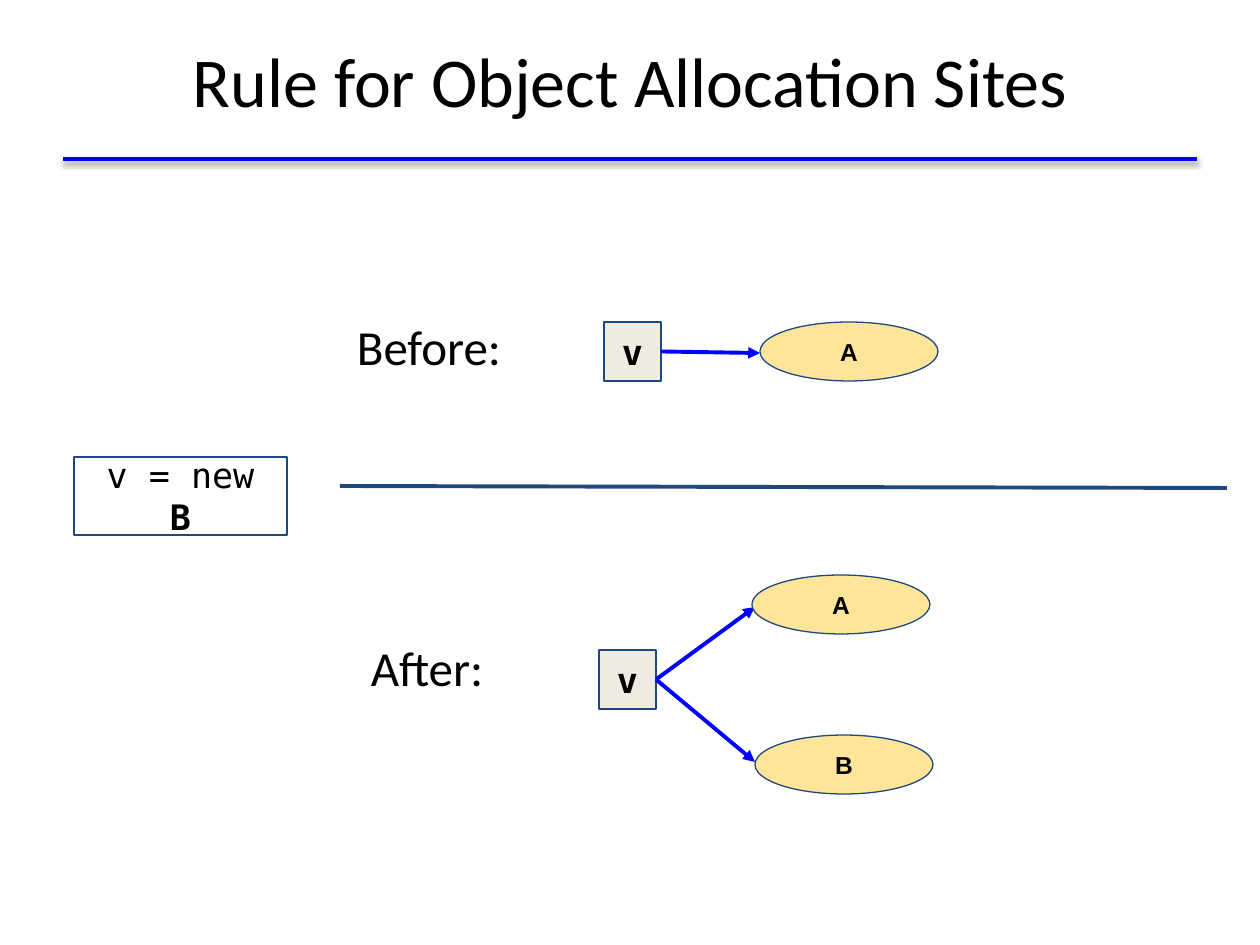
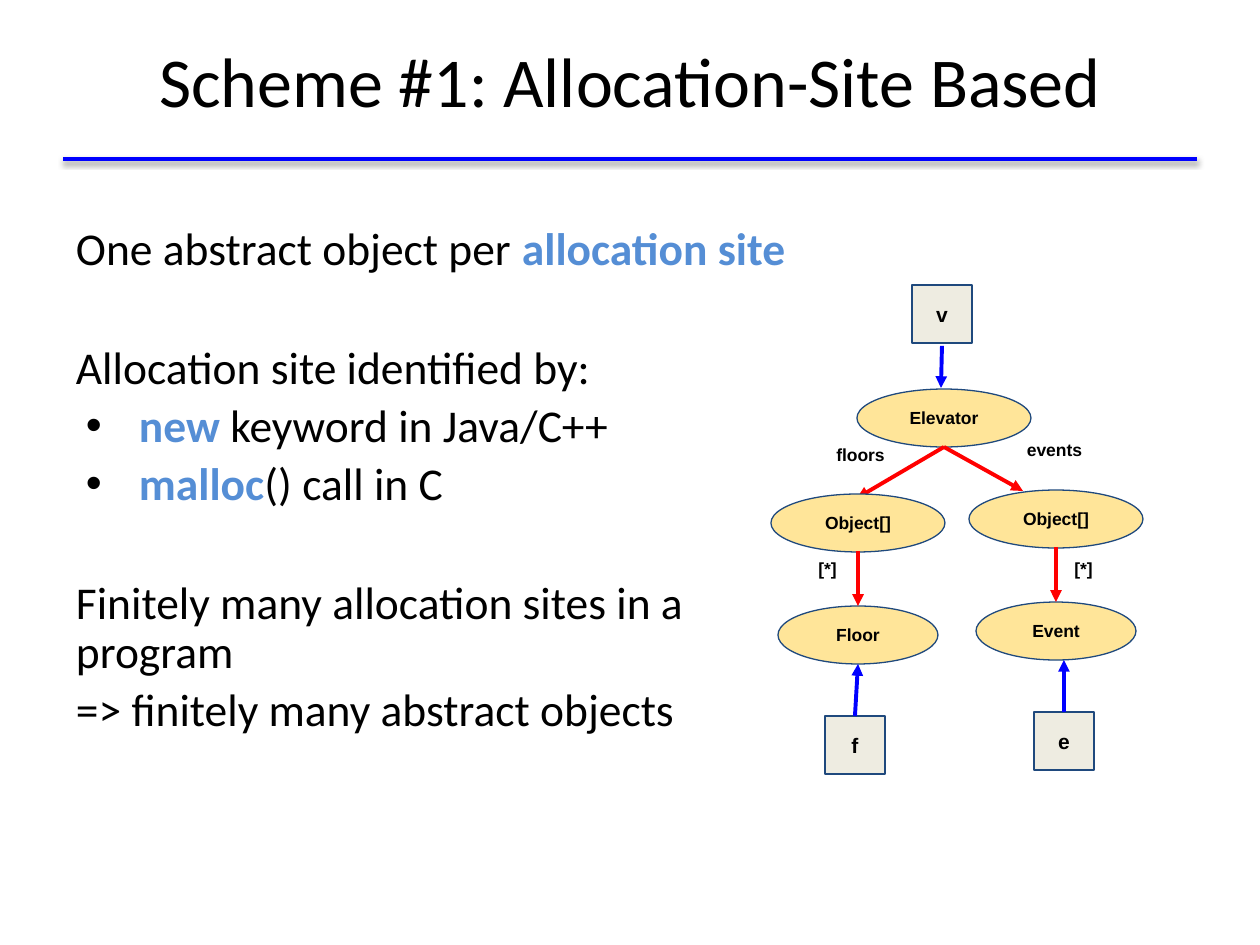
from lxml.etree import SubElement
from pptx import Presentation
from pptx.dml.color import RGBColor
from pptx.enum.shapes import MSO_CONNECTOR, MSO_SHAPE
from pptx.enum.text import MSO_ANCHOR as ANCHOR, PP_ALIGN as ALIGN
from pptx.oxml.ns import qn
from pptx.util import Emu, Pt

BLACK = RGBColor(0x00, 0x00, 0x00)
BLUE = RGBColor(0x00, 0x00, 0xFF)
RED = RGBColor(0xFF, 0x00, 0x00)
NAVY = RGBColor(0x1F, 0x49, 0x7D)
SKY = RGBColor(0x55, 0x8E, 0xD5)
CREAM = RGBColor(0xEE, 0xEC, 0xE1)
AMBER = RGBColor(0xFF, 0xE5, 0x99)
SANS, LABEL, MONO = "Calibri", "Arial", "DejaVu Sans Mono"
TOP, BOTTOM, RIGHT = 0, 2, 3


def px(n):
    """Pixels at 126 to the inch."""
    return Emu(round(n * 914400 / 126))


class Deck:
    def __init__(self):
        self.prs = Presentation()
        self.prs.slide_width, self.prs.slide_height = px(1260), px(945)
        self.s = None

    def slide(self, title):
        self.s = self.prs.slides.add_slide(self.prs.slide_layouts[6])
        rule = self.line((63, 159), (1197, 159), BLUE, 2)
        effects = rule._element.spPr.find(qn("a:effectLst"))
        shadow = SubElement(effects, qn("a:outerShdw"), blurRad="40000",
                            dist="20000", dir="5400000", rotWithShape="0")
        color = SubElement(shadow, qn("a:srgbClr"), val="000000")
        SubElement(color, qn("a:alpha"), val="38000")
        self.text((63, 1, 1134, 158), title, 40, inset=6)

    # Text
    def frame(self, sp, anchor, inset):
        tf = sp.text_frame
        tf.word_wrap = True
        tf.vertical_anchor = anchor
        tf.margin_left = tf.margin_right = px(13)
        tf.margin_top = tf.margin_bottom = px(inset)
        return tf

    def style(self, runs, size, font, bold, color=BLACK):
        for r in runs:
            r.font.size, r.font.name, r.font.bold = Pt(size), font, bold
            r.font.color.rgb = color

    def text(self, box, words, size, font=SANS, bold=False,
             anchor=ANCHOR.MIDDLE, inset=13):
        sp = self.s.shapes.add_textbox(*map(px, box))
        self.fill_text(sp, words, size, font, bold, anchor, inset)

    def fill_text(self, sp, words, size, font, bold, anchor=ANCHOR.MIDDLE, inset=13):
        tf = self.frame(sp, anchor, inset)
        tf.text = words
        p = tf.paragraphs[0]
        p.alignment = ALIGN.CENTER
        self.style(p.runs, size, font, bold)
        return p

    def label(self, box, words):
        self.text(box, words, 10, LABEL, True)

    def body(self, box, items, size):
        """Each item is (space before, bulleted, [(words, emphasised)])."""
        sp = self.s.shapes.add_textbox(*map(px, box))
        tf = self.frame(sp, ANCHOR.TOP, 6)
        for i, (space, bulleted, pieces) in enumerate(items):
            p = tf.paragraphs[0] if i == 0 else tf.add_paragraph()
            if bulleted:
                self.bullet(p)
            p.line_spacing, p.space_before = 0.9, Pt(space)
            for words, strong in pieces:
                r = p.add_run()
                r.text = words
                self.style([r], size, SANS, strong, SKY if strong else BLACK)

    def bullet(self, p):
        pPr = p._p.get_or_add_pPr()
        pPr.set("marL", str(px(63)))
        pPr.set("indent", str(px(-53)))
        SubElement(SubElement(pPr, qn("a:buClr")), qn("a:srgbClr"), val=str(BLACK))
        SubElement(pPr, qn("a:buFont"), typeface=LABEL)
        SubElement(pPr, qn("a:buChar"), char="•")

    # Shapes
    def shape(self, kind, box, words, size, font, fill=None, width=0.75, bold=True):
        sp = self.s.shapes.add_shape(kind, *map(px, box))
        sp.shadow.inherit = False
        if fill is None:
            sp.fill.background()
        else:
            sp.fill.solid()
            sp.fill.fore_color.rgb = fill
        sp.line.color.rgb, sp.line.width = NAVY, Pt(width)
        self.fill_text(sp, words, size, font, bold)
        return sp

    def variable(self, box, name, size, font):
        return self.shape(MSO_SHAPE.RECTANGLE, box, name, size, font, CREAM)

    def heap_object(self, box, name, size):
        return self.shape(MSO_SHAPE.OVAL, box, name, size, LABEL, AMBER)

    def statement(self, box, code, target):
        sp = self.shape(MSO_SHAPE.RECTANGLE, box, code, 20, MONO, width=1.5, bold=False)
        r = sp.text_frame.paragraphs[0].add_run()
        r.text = target
        self.style([r], 20, MONO, True)

    # Lines
    def line(self, start, end, color, width=2.25):
        c = self.s.shapes.add_connector(MSO_CONNECTOR.STRAIGHT, *map(px, start + end))
        c.line.color.rgb, c.line.width = color, Pt(width)
        SubElement(c._element.spPr, qn("a:effectLst"))
        return c

    def arrow(self, start, end, color):
        c = self.line(start, end, color)
        SubElement(c.line._get_or_add_ln(), qn("a:tailEnd"), type="triangle")
        return c

    def points_to(self, variable, side, end):
        self.arrow(end, end, BLUE).begin_connect(variable, side)


def allocation_rule(d):
    d.slide("Rule for Object Allocation Sites")
    d.statement((74, 457, 213, 78), "v = new ", "B")
    d.line((340, 486), (1227, 488), NAVY)
    for x, y, words in ((311, 304, "Before:"), (309, 624, "After:")):
        d.text((x, y, 236, 118), words, 28, anchor=ANCHOR.TOP)

    # Points-to graph before and after the statement
    states = [((604, 322), [(760, 353)]),
              ((599, 650), [(755, 607), (755, 762)])]
    for corner, targets in states:
        v = d.variable(corner + (57, 59), "v", 20, MONO)
        for target in targets:
            d.points_to(v, RIGHT, target)
    for x, y, name in ((760, 322, "A"), (752, 575, "A"), (755, 735, "B")):
        d.heap_object((x, y, 178, 59), name, 14)


def allocation_scheme(d):
    d.slide("Scheme #1: Allocation-Site Based")
    d.body((63, 220, 795, 619), [
        (0, False, [("One abstract object per ", False), ("allocation site", True)]),
        (40, False, [("Allocation site identified by:", False)]),
        (5, True, [("new", True), (" keyword in Java/C++", False)]),
        (5, True, [("malloc", True), ("() call in C", False)]),
        (40, False, [("Finitely many allocation sites in a program", False)]),
        (5, False, [("=> finitely many abstract objects", False)]),
    ], 26)

    # Root of the heap graph and its fields
    d.heap_object((857, 389, 174, 58), "Elevator", 10)
    d.variable((912, 285, 60, 58), "v", 12, LABEL)
    d.arrow((942, 346), (941, 388), BLUE)
    for end in ((857, 498), (1023, 491)):
        d.arrow((944, 447), end, RED)
    d.label((804, 423, 113, 64), "floors")
    d.label((992, 418, 125, 64), "events")

    # Branches: array, element, variable
    branches = [(858, 494, "Floor", 825, "f", 789),
                (1056, 490, "Event", 1034, "e", 1045)]
    for mid, top, element, var_x, name, label_x in branches:
        d.heap_object((mid - 87, top, 174, 58), "Object[]", 10)
        d.heap_object((mid - 80, top + 112, 160, 58), element, 10)
        d.arrow((mid, top + 57), (mid, top + 112), RED)
        d.label((label_x, 537, 77, 64), "[*]")
        var = d.variable((var_x, top + 222, 60, 58), name, 12, LABEL)
        d.points_to(var, TOP, (max(mid, var_x + 30), top + 170))


def main():
    d = Deck()
    allocation_rule(d)
    allocation_scheme(d)
    d.prs.save("out.pptx")


if __name__ == "__main__":
    main()
